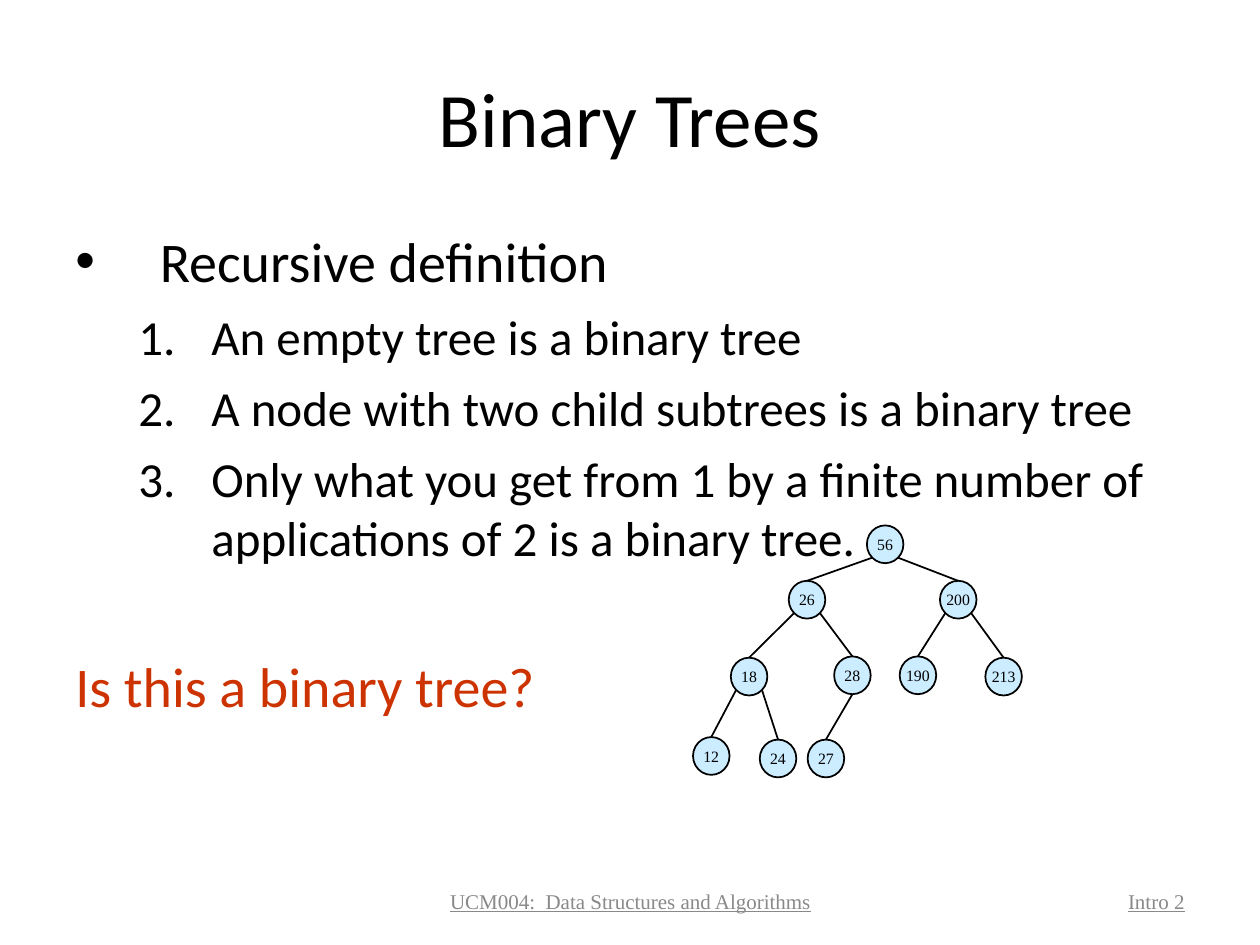
import math

import pptx
import pptx.dml.color
import pptx.enum.shapes
import pptx.enum.text
import pptx.oxml.ns
import pptx.util
from lxml import etree

Inches = pptx.util.Inches
Pt = pptx.util.Pt
RGBColor = pptx.dml.color.RGBColor
ALIGN = pptx.enum.text.PP_ALIGN
ANCHOR = pptx.enum.text.MSO_ANCHOR
qn = pptx.oxml.ns.qn

BLACK = RGBColor(0x00, 0x00, 0x00)
QUESTION_RED = RGBColor(0xCC, 0x33, 0x00)
NODE_BLUE = RGBColor(0xCC, 0xEC, 0xFF)
FOOTER_GREY = RGBColor(0x89, 0x89, 0x89)
SANS = "Calibri"
SERIF = "Times New Roman"

TITLE = "Binary Trees"
TOPIC = "Recursive definition"
RULES = [
    "An empty tree is a binary tree",
    "A node with two child subtrees is a binary tree",
    "Only what you get from 1 by a finite number of applications of 2 is a binary tree.",
]
QUESTION = "Is this a binary tree?"
FOOTERS = [
    ("Intro 2", (7.17, 6.95, 2.33, 0.4), ALIGN.RIGHT),
    ("UCM004:  Data Structures and Algorithms", (3.42, 6.95, 3.17, 0.4), ALIGN.CENTER),
]

NODE_WIDTH, NODE_HEIGHT = 0.29, 0.3
NODES = {
    "56": (6.88, 4.17),
    "26": (6.26, 4.61),
    "200": (7.46, 4.61),
    "18": (5.8, 5.22),
    "28": (6.62, 5.21),
    "190": (7.14, 5.21),
    "213": (7.82, 5.22),
    "12": (5.5, 5.85),
    "24": (6.03, 5.87),
    "27": (6.41, 5.87),
}
CHILDREN = {
    "56": ["26", "200"],
    "26": ["18", "28"],
    "200": ["190", "213"],
    "18": ["12", "24"],
    "28": ["27"],
}


def add_text(paragraph, text, size, font, color, underline=None):
    run = paragraph.add_run()
    run.text = text
    run.font.size = Pt(size)
    run.font.name = font
    run.font.color.rgb = color
    run.font.underline = underline


def add_box(slide, place, anchor):
    frame = slide.shapes.add_textbox(*map(Inches, place)).text_frame
    frame.word_wrap = True
    frame.vertical_anchor = anchor
    return frame


def hang(paragraph, margin, hanging, space, marker=None, **attributes):
    paragraph.space_before = Pt(space)
    properties = paragraph._p.get_or_add_pPr()
    properties.set("marL", str(Inches(margin)))
    properties.set("indent", str(-Inches(hanging)))
    if marker:
        etree.SubElement(properties, qn("a:buFont"), typeface="Arial")
        etree.SubElement(properties, qn(marker), **attributes)


def add_node(slide, key, position):
    node = slide.shapes.add_shape(
        pptx.enum.shapes.MSO_SHAPE.OVAL,
        *map(Inches, (*position, NODE_WIDTH, NODE_HEIGHT)),
    )
    node.shadow.inherit = False
    node.fill.solid()
    node.fill.fore_color.rgb = NODE_BLUE
    node.line.color.rgb = BLACK
    node.line.width = Pt(1)
    frame = node.text_frame
    frame.word_wrap = False
    frame.vertical_anchor = ANCHOR.MIDDLE
    frame.paragraphs[0].alignment = ALIGN.CENTER
    add_text(frame.paragraphs[0], key, 9, SERIF, BLACK)


def rim(key, degrees):
    left, top = NODES[key]
    angle = math.radians(degrees)
    return (
        left + NODE_WIDTH / 2 * (1 + math.cos(angle)),
        top + NODE_HEIGHT / 2 * (1 + math.sin(angle)),
    )


def add_edge(slide, start, end):
    edge = slide.shapes.add_connector(
        pptx.enum.shapes.MSO_CONNECTOR.STRAIGHT, *map(Inches, (*start, *end))
    )
    edge.line.color.rgb = BLACK
    edge.line.width = Pt(1)
    etree.SubElement(edge._element.spPr, qn("a:effectLst"))


def main():
    deck = pptx.Presentation()
    deck.slide_width, deck.slide_height = Inches(10), Inches(7.5)
    slide = deck.slides.add_slide(deck.slide_layouts[6])

    title = add_box(slide, (0.5, 0.3, 9, 1.25), ANCHOR.MIDDLE).paragraphs[0]
    title.alignment = ALIGN.CENTER
    add_text(title, TITLE, 44, SANS, BLACK)

    body = add_box(slide, (0.5, 1.75, 9, 4.95), ANCHOR.TOP)
    topic = body.paragraphs[0]
    hang(topic, 0.67, 0.67, 8, "a:buChar", char="•")
    add_text(topic, TOPIC, 32, SANS, BLACK)
    for text in RULES:
        rule = body.add_paragraph()
        rule.level = 1
        hang(rule, 1.08, 0.58, 7, "a:buAutoNum", type="arabicPeriod")
        add_text(rule, text, 28, SANS, BLACK)
    question = body.add_paragraph()
    hang(question, 0.67, 0.67, 49)
    add_text(question, QUESTION, 32, SANS, QUESTION_RED)

    for key, position in NODES.items():
        add_node(slide, key, position)
    for parent, children in CHILDREN.items():
        departures = (135, 45) if len(children) == 2 else (90,)
        for child, departure in zip(children, departures):
            add_edge(slide, rim(parent, departure), rim(child, 270))

    for text, place, alignment in FOOTERS:
        footer = add_box(slide, place, ANCHOR.MIDDLE).paragraphs[0]
        footer.alignment = alignment
        add_text(footer, text, 12, SERIF, FOOTER_GREY, underline=True)

    deck.save("out.pptx")


if __name__ == "__main__":
    main()
